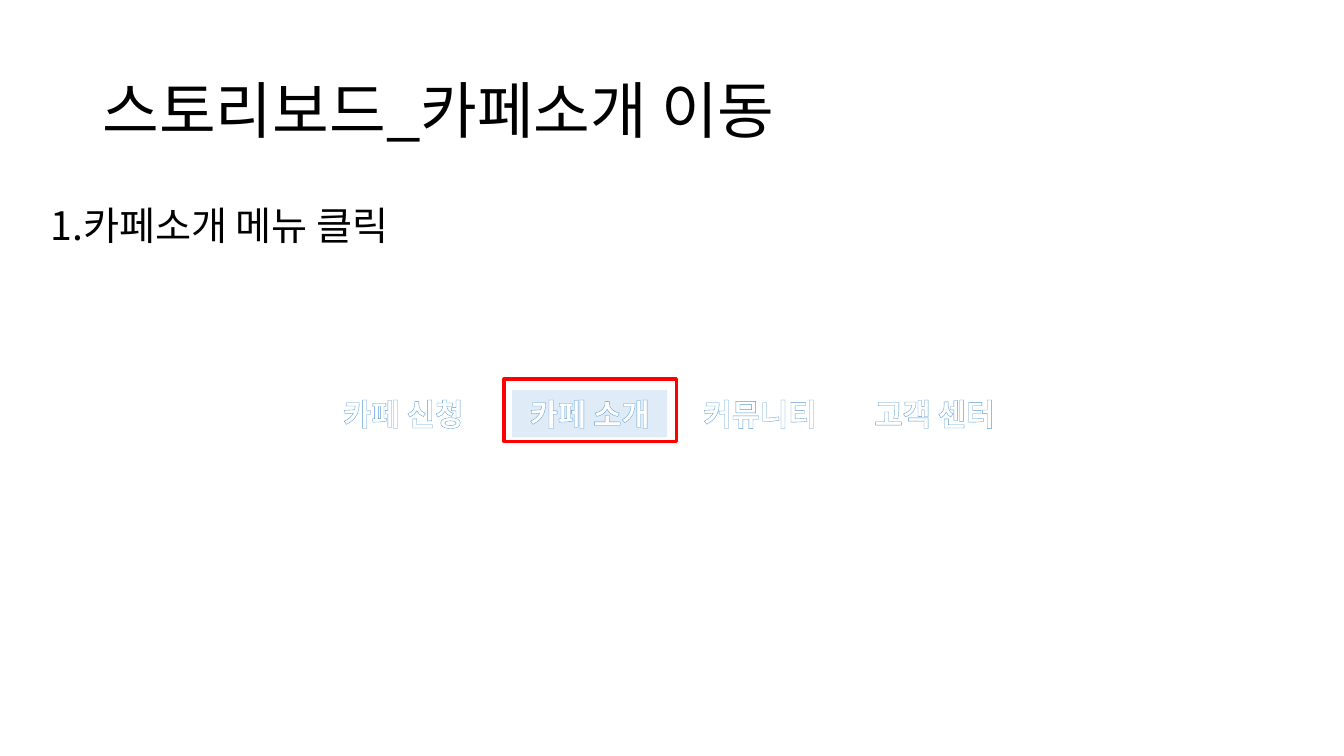
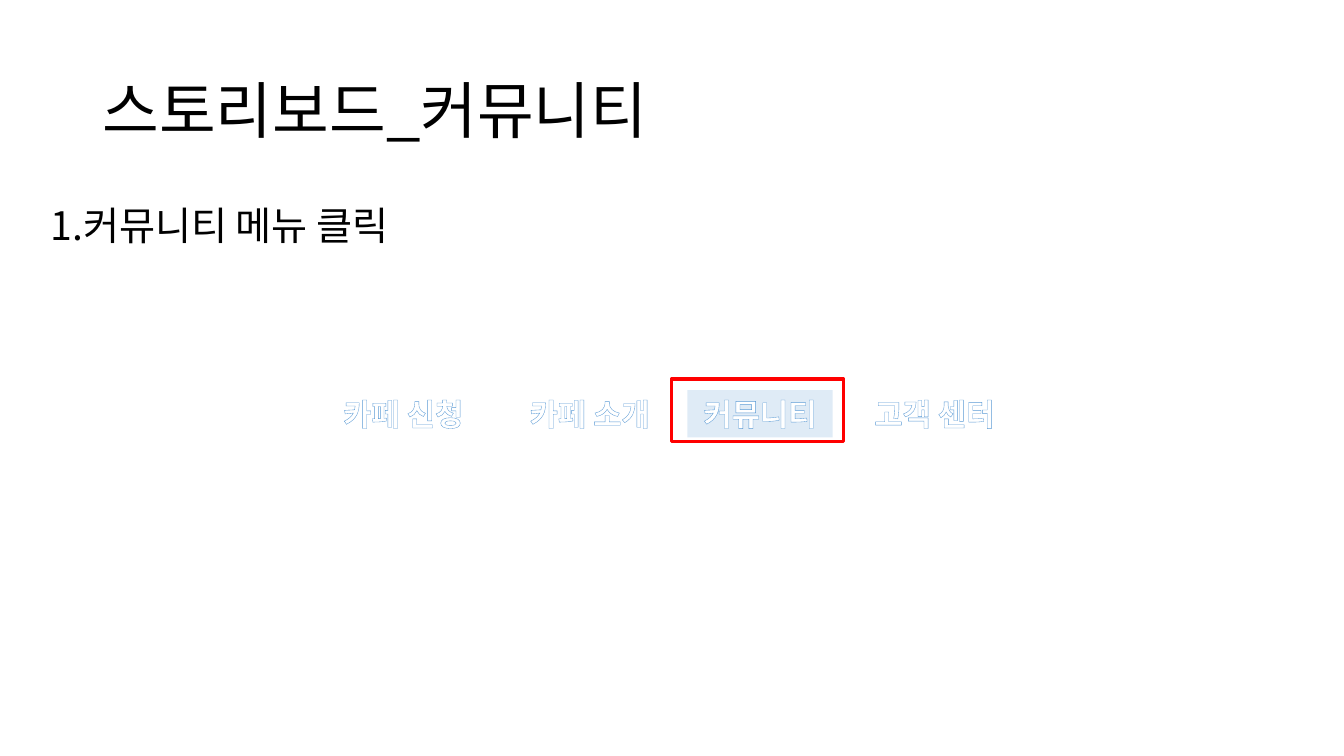
from dataclasses import dataclass

from lxml import etree
from pptx import Presentation
from pptx.dml.color import RGBColor
from pptx.enum.shapes import MSO_SHAPE
from pptx.enum.text import MSO_ANCHOR, MSO_AUTO_SIZE, PP_ALIGN
from pptx.oxml.ns import qn
from pptx.util import Inches, Pt

RECTANGLE = MSO_SHAPE.RECTANGLE
MIDDLE, TOP = MSO_ANCHOR.MIDDLE, MSO_ANCHOR.TOP
FIXED, GROW = MSO_AUTO_SIZE.NONE, MSO_AUTO_SIZE.SHAPE_TO_FIT_TEXT
LEFT, CENTER = PP_ALIGN.LEFT, PP_ALIGN.CENTER


@dataclass(frozen=True)
class Theme:
    font: str = "Noto Sans CJK KR"
    ink: str = "000000"
    white: str = "FFFFFF"
    selected: str = "BDD7EE"
    outline: str = "5B9BD5"
    marker: str = "FF0000"
    title_size: float = 44
    body_size: float = 28
    menu_size: float = 22
    outline_width: float = 0.8
    marker_width: float = 2.25
    menu_opacity: int = 48


theme = Theme()
deck = Presentation()
deck.slide_width, deck.slide_height = Inches(13.333), Inches(7.5)

TITLE_AREA = (6.88, 5.32, 86.25, 19.33)
STEP_AREA = (3, 26.67, 90.15, 63.47)
MENU_TOP, MENU_HEIGHT = 51.6, 6.27
MARKER_TOP, MARKER_WIDTH, MARKER_HEIGHT = 50.13, 12.83, 8.27
MENU = [
    ("카페 소개", 38.1, 11.55),
    ("커뮤니티", 51.15, 10.8),
    ("카페 신청", 24.23, 11.55),
    ("고객 센터", 63.75, 11.55),
]
STORYBOARDS = [
    ("스토리보드_카페소개 이동", "1.카페소개 메뉴 클릭", "카페 소개", 37.5),
    ("스토리보드_커뮤니티", "1.커뮤니티 메뉴 클릭", "커뮤니티", 49.95),
]


def share(left, top, width, height):
    across, down = deck.slide_width / 100, deck.slide_height / 100
    return [round(n) for n in (left * across, top * down, width * across, height * down)]


def write(paragraph, text, size, color, align):
    paragraph.alignment = align
    run = paragraph.add_run()
    run.text = text
    run.font.size = Pt(size)
    run.font.color.rgb = RGBColor.from_string(color)
    run.font.name = theme.font
    etree.SubElement(run.font._element, qn("a:ea"), typeface=theme.font)
    return run


for heading, step, active, marker_left in STORYBOARDS:
    slide = deck.slides.add_slide(deck.slide_layouts[1])
    for holder, area, text, size, anchor in (
        (slide.shapes.title, TITLE_AREA, heading, theme.title_size, MIDDLE),
        (slide.placeholders[1], STEP_AREA, step, theme.body_size, TOP),
    ):
        holder.left, holder.top, holder.width, holder.height = share(*area)
        frame = holder.text_frame
        frame.auto_size = FIXED
        frame.vertical_anchor = anchor
        paragraph = frame.paragraphs[0]
        paragraph.line_spacing = 0.9
        paragraph.space_before = Pt(0)
        properties = paragraph._p.get_or_add_pPr()
        properties.set("marL", "0")
        properties.set("indent", "0")
        etree.SubElement(properties, qn("a:buNone"))
        write(paragraph, text, size, theme.ink, LEFT)

    marker = slide.shapes.add_shape(
        RECTANGLE, *share(marker_left, MARKER_TOP, MARKER_WIDTH, MARKER_HEIGHT)
    )
    marker.shadow.inherit = False
    marker.fill.background()
    marker.line.color.rgb = RGBColor.from_string(theme.marker)
    marker.line.width = Pt(theme.marker_width)

    menu = slide.shapes.add_group_shape()
    for label, left, width in MENU:
        item = menu.shapes.add_shape(RECTANGLE, *share(left, MENU_TOP, width, MENU_HEIGHT))
        item.shadow.inherit = False
        item.line.fill.background()
        item.fill.solid()
        item.fill.fore_color.rgb = RGBColor.from_string(
            theme.selected if label == active else theme.white
        )
        tint = item._element.spPr.find(qn("a:solidFill"))[0]
        etree.SubElement(tint, qn("a:alpha"), val=str(theme.menu_opacity * 1000))
        frame = item.text_frame
        frame.word_wrap = False
        frame.auto_size = GROW
        frame.vertical_anchor = TOP
        run = write(frame.paragraphs[0], label, theme.menu_size, theme.white, CENTER)
        run.font.bold = True
        contour = etree.Element(qn("a:ln"), w=str(Pt(theme.outline_width)))
        stroke = etree.SubElement(contour, qn("a:solidFill"))
        etree.SubElement(stroke, qn("a:srgbClr"), val=theme.outline)
        run.font._element.insert(0, contour)

deck.save("out.pptx")
